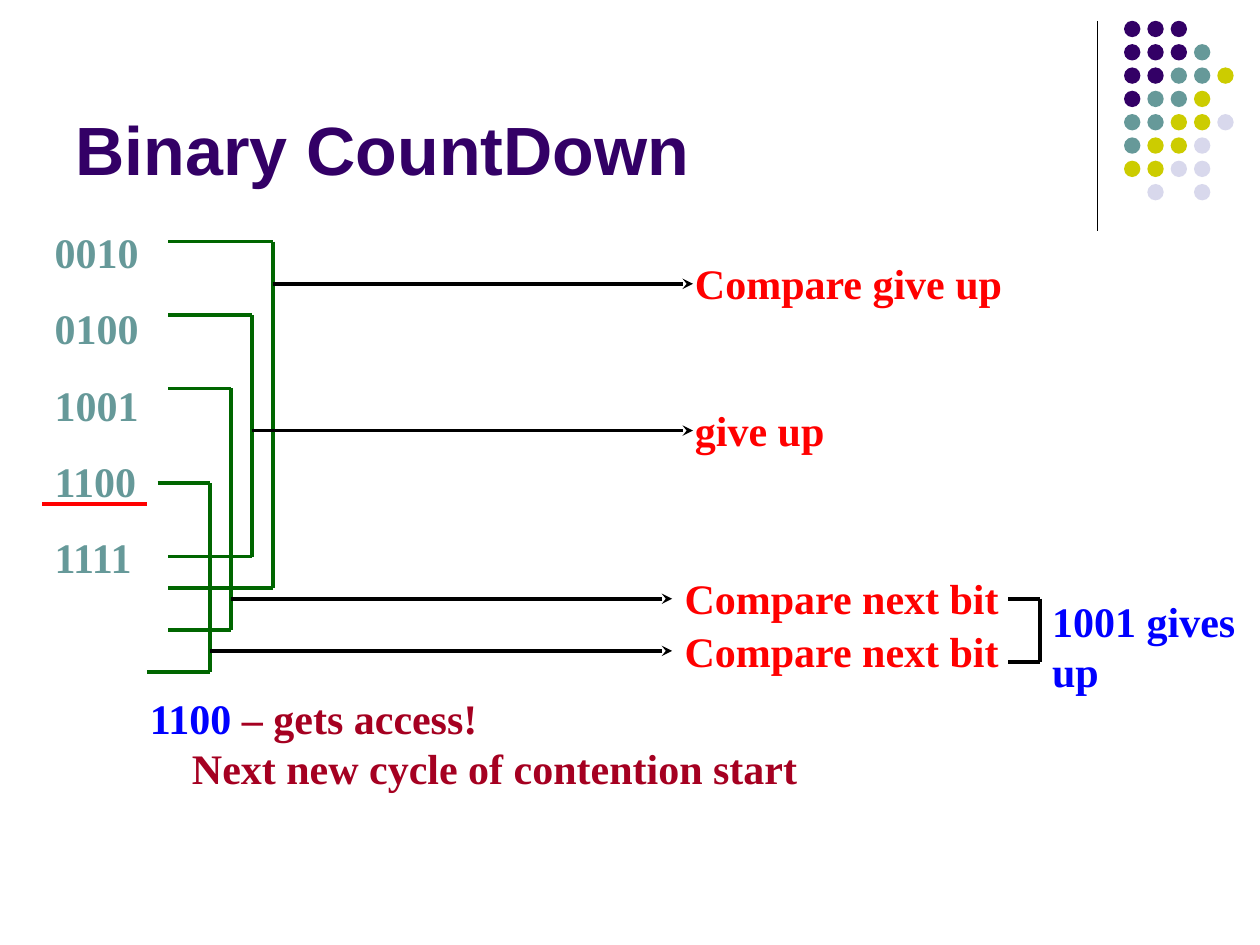
from pptx import Presentation
from pptx.dml.color import RGBColor
from pptx.enum.shapes import MSO_CONNECTOR, MSO_SHAPE
from pptx.enum.text import MSO_ANCHOR
from pptx.oxml.ns import qn
from pptx.util import Cm, Pt
from lxml.etree import SubElement

PURPLE = RGBColor(0x33, 0x00, 0x66)
TEAL = RGBColor(0x66, 0x99, 0x99)
OLIVE = RGBColor(0xCC, 0xCC, 0x00)
LAVENDER = RGBColor(0xD8, 0xD8, 0xEC)
RED = RGBColor(0xFF, 0x00, 0x00)
GREEN = RGBColor(0x00, 0x66, 0x00)
BLUE = RGBColor(0x00, 0x00, 0xFF)
MAROON = RGBColor(0xA5, 0x00, 0x21)
BLACK = RGBColor(0x00, 0x00, 0x00)

# All positions are in centimetres.
DOT_COLOURS = {"P": PURPLE, "T": TEAL, "O": OLIVE, "L": LAVENDER}
DOT_ROWS = ["PPP", "PPPT", "PPTTO", "PTTO", "TTOOL", "TOOL", "OOLL", " L L"]
DOT_LEFT, DOT_TOP, DOT_PITCH, DOT_SIZE = 22.66, 0.42, 0.47, 0.33

TITLE = "Binary CountDown"
STATIONS = ["0010", "0100", "1001", "1100", "1111"]

# start of upper arm, start of lower arm, spine x, top, bottom, colour
BRACKETS = [
    (3.39, 3.39, 5.5, 4.87, 11.85, GREEN),
    (3.39, 3.39, 5.08, 6.35, 11.22, GREEN),
    (3.39, 3.39, 4.66, 7.83, 12.7, GREEN),
    (3.18, 2.96, 4.23, 9.74, 13.55, GREEN),
    (20.32, 20.32, 20.96, 12.07, 13.34, BLACK),
]

# arrow start x, arrow end x, arrow y, label left, label top, label
STEPS = [
    (5.5, 13.97, 5.72, 13.76, 5.08, "Compare give up"),
    (5.08, 13.97, 8.68, 13.76, 8.04, "give up"),
    (4.66, 13.55, 12.07, 13.55, 11.43, "Compare next bit"),
    (4.23, 13.55, 13.12, 13.55, 12.49, "Compare next bit"),
]

OUTCOME = [
    [("1100 ", BLUE), ("– gets access!", MAROON)],
    [("Next new cycle of contention start", MAROON)],
]


def add_line(slide, x1, y1, x2, y2, colour, width=2, arrow=False):
    line = slide.shapes.add_connector(
        MSO_CONNECTOR.STRAIGHT, Cm(x1), Cm(y1), Cm(x2), Cm(y2))
    line.line.color.rgb = colour
    line.line.width = Pt(width)
    if arrow:
        SubElement(line.line._get_or_add_ln(), qn("a:tailEnd"), type="stealth")
    SubElement(line._element.spPr, qn("a:effectLst"))


def add_text(slide, left, top, width, height, paragraphs, wrap=True):
    """Add a text box; each paragraph is a list of (text, colour) runs."""
    frame = slide.shapes.add_textbox(
        Cm(left), Cm(top), Cm(width), Cm(height)).text_frame
    frame.word_wrap = wrap
    for index, runs in enumerate(paragraphs):
        paragraph = frame.add_paragraph() if index else frame.paragraphs[0]
        paragraph.line_spacing = Pt(28.6)
        for text, colour in runs:
            run = paragraph.add_run()
            run.text = text
            run.font.name = "Times New Roman"
            run.font.size = Pt(24)
            run.font.bold = True
            run.font.color.rgb = colour
    return frame


def add_dots(slide):
    dots = slide.shapes.add_group_shape()
    for row, letters in enumerate(DOT_ROWS):
        for column, letter in enumerate(letters):
            if letter not in DOT_COLOURS:
                continue
            dot = dots.shapes.add_shape(
                MSO_SHAPE.OVAL,
                Cm(DOT_LEFT + column * DOT_PITCH), Cm(DOT_TOP + row * DOT_PITCH),
                Cm(DOT_SIZE), Cm(DOT_SIZE))
            dot.shadow.inherit = False
            dot.fill.solid()
            dot.fill.fore_color.rgb = DOT_COLOURS[letter]
            dot.line.fill.background()


def add_bracket(slide, upper_start, lower_start, spine, top, bottom, colour):
    add_line(slide, upper_start, top, spine, top, colour)
    add_line(slide, lower_start, bottom, spine, bottom, colour)
    add_line(slide, spine, top, spine, bottom, colour)


def main():
    prs = Presentation()
    prs.slide_width, prs.slide_height = Cm(25.4), Cm(19.05)
    slide = prs.slides.add_slide(prs.slide_layouts[6])

    add_line(slide, 22.12, 0.42, 22.12, 4.65, BLACK, width=0.75)
    add_dots(slide)

    title = slide.shapes.add_textbox(
        Cm(1.27), Cm(0.33), Cm(20.96), Cm(3.61)).text_frame
    title.word_wrap = True
    title.vertical_anchor = MSO_ANCHOR.BOTTOM
    title.text = TITLE
    title_font = title.paragraphs[0].runs[0].font
    title_font.name = "Arial"
    title_font.size = Pt(39)
    title_font.bold = True
    title_font.color.rgb = PURPLE

    stations = add_text(slide, 0.85, 4.45, 2.54, 7.44,
                        [[(code, TEAL)] for code in STATIONS])
    for paragraph in stations.paragraphs[1:]:
        paragraph.space_before = Pt(15)
    add_line(slide, 0.85, 10.16, 2.96, 10.16, RED)

    for bracket in BRACKETS:
        add_bracket(slide, *bracket)
    for start, end, y, left, top, label in STEPS:
        add_line(slide, start, y, end, y, BLACK, arrow=True)
        add_text(slide, left, top, 7.41, 1.27, [[(label, RED)]])

    add_text(slide, 20.96, 11.89, 4.44, 2.29, [[("1001 gives up", BLUE)]])
    outcome = add_text(slide, 2.77, 13.84, 13.56, 3.3, OUTCOME, wrap=False)
    outcome.paragraphs[1]._p.get_or_add_pPr().set("marL", str(Cm(0.85)))

    prs.save("out.pptx")


if __name__ == "__main__":
    main()
